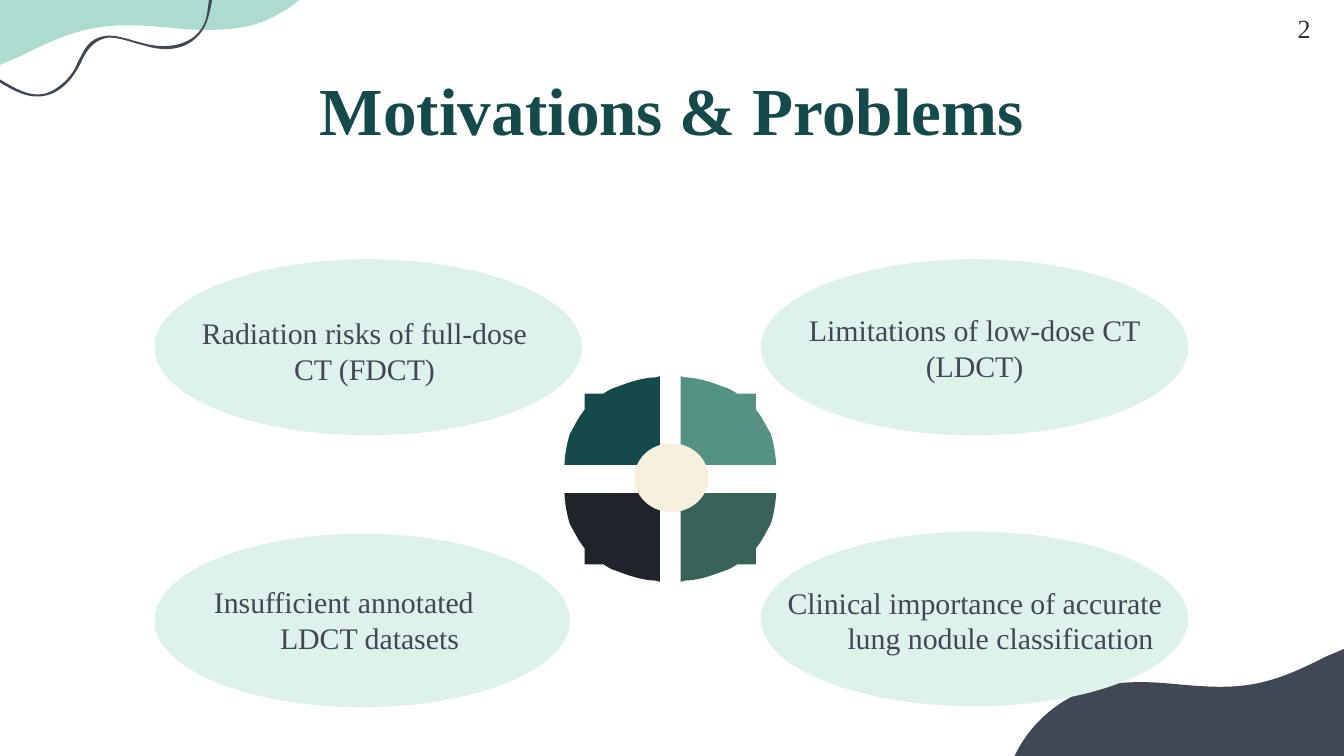
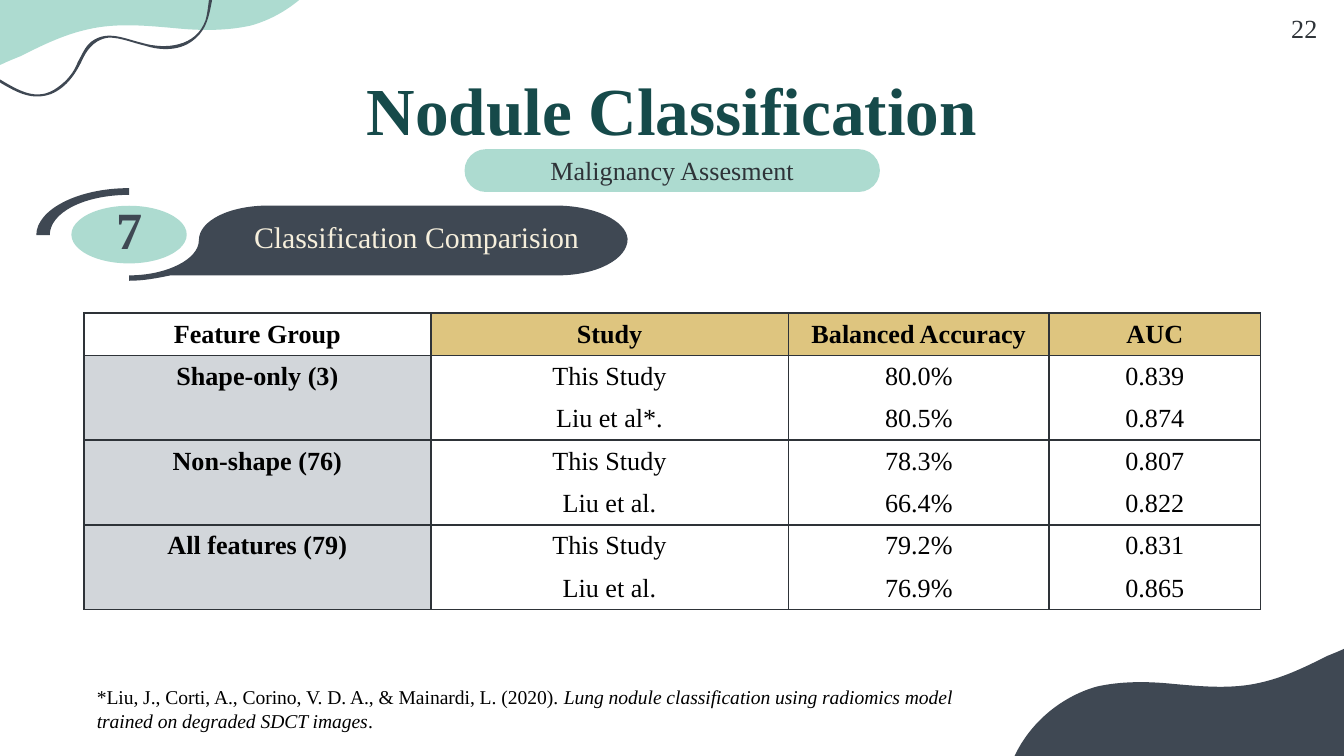
"""Build two slides on lung nodule CT: the motivations and the classification results."""
from dataclasses import dataclass

from lxml.etree import SubElement
from pptx import Presentation
from pptx.dml.color import RGBColor as RGB
from pptx.enum.shapes import MSO_SHAPE as SHAPE
from pptx.enum.text import MSO_ANCHOR as ANCHOR, PP_ALIGN as ALIGN
from pptx.oxml.ns import qn
from pptx.util import Cm, Pt


@dataclass(frozen=True)
class Theme:
    font: str = "Times New Roman"
    teal: str = "164A4A"
    mint: str = "ADDBD0"
    pale: str = "DEF1EC"
    slate: str = "3F4853"
    ink: str = "2E3338"
    cream: str = "F6EFDC"
    sage: str = "569283"
    night: str = "1F242A"
    pine: str = "396258"
    gold: str = "DEC57F"
    grey: str = "D2D6DA"
    black: str = "000000"
    title: float = 36
    badge: float = 28
    body: float = 16
    small: float = 14
    note: float = 10.5


T = Theme()
UNIT = Cm(2.54) / 100

TITLE_BOX = (1.98, 1.3, 21.44, 1.27)
NUMBER_BOX = (23.9, 0.23, 1.5, 0.86)

MOTIVATIONS = [
    ("Radiation risks of full-dose CT (FDCT)",
     (2.92, 4.9, 8.08, 3.33), (3.51, 5.23, 6.76, 2.79), False),
    ("Limitations of low-dose CT (LDCT)",
     (14.38, 4.9, 8.08, 3.33), (14.76, 5.18, 7.32, 2.77), False),
    ("Insufficient annotated LDCT datasets",
     (2.92, 10.09, 7.85, 3.28), (2.97, 10.39, 6.76, 2.64), True),
    ("Clinical importance of accurate lung nodule classification",
     (14.38, 10.05, 8.08, 3.3), (14.45, 10.41, 7.65, 2.62), True),
]
HUB_BOX = (11.99, 8.38, 1.4, 1.3)
QUADRANTS = [(T.teal, False, False), (T.sage, True, False),
             (T.night, False, True), (T.pine, True, True)]

HEADER = ["Feature Group", "Study", "Balanced Accuracy", "AUC"]
RESULTS = [
    ["Shape-only (3)", "This Study", "80.0%", "0.839"],
    ["", "Liu et al*.", "80.5%", "0.874"],
    ["Non-shape (76)", "This Study", "78.3%", "0.807"],
    ["", "Liu et al.", "66.4%", "0.822"],
    ["All features (79)", "This Study", "79.2%", "0.831"],
    ["", "Liu et al.", "76.9%", "0.865"],
]
COLUMNS = [6.55, 6.76, 4.93, 3.99]
ROW_HEIGHT = 0.8
TABLE_AT = (1.59, 5.92)
CITATION = [
    ("*Liu, J., Corti, A., Corino, V. D. A., & Mainardi, L. (2020). ", False),
    ("Lung nodule classification using radiomics model trained on degraded SDCT images", True),
    (".", False),
]

WAVE = [
    (-139, -37), (-140, -21, -138, -6, -132, 8), (-123, 29, -103, 45, -82, 52),
    (-79, 53, -77, 54, -74, 54), (-49, 60, -23, 57, 1, 48), (5, 46, 10, 44, 15, 42),
    (31, 34, 47, 26, 65, 22), (86, 17, 108, 19, 130, 21), (150, 23, 169, 23, 187, 19),
    (215, 11, 239, -10, 250, -37),
]
SQUIGGLE = [
    (192, -53), (180, -47, 171, -37, 165, -26), (161, -20, 159, -14, 157, -8),
    (155, 0, 155, 8, 153, 15), (146, 35, 123, 37, 106, 32), (93, 29, 80, 22, 68, 31),
    (63, 35, 61, 41, 58, 46), (55, 54, 50, 60, 43, 65), (27, 77, 12, 66, -2, 58),
    (-27, 43, -58, 49, -75, 71), (-78, 76, -81, 81, -83, 86), (-83, 87, -81, 88, -81, 87),
    (-76, 71, -63, 59, -48, 54), (-31, 47, -13, 52, 1, 62), (13, 69, 24, 75, 38, 70),
    (50, 65, 57, 54, 62, 43), (66, 35, 72, 29, 81, 28), (90, 28, 99, 32, 108, 34),
    (120, 38, 135, 38, 145, 29), (157, 19, 156, 4, 160, -9), (164, -24, 173, -38, 186, -47),
    (188, -49, 191, -50, 193, -52), (194, -52, 193, -54, 192, -53),
]
QUADRANT = [
    (491, 280), (489, 281, 487, 281, 485, 281), (475, 282, 467, 285, 459, 288),
    (455, 289, 452, 291, 449, 293), (435, 293), (435, 305), (430, 311, 427, 318, 424, 323),
    (420, 336, 420, 346, 420, 346), (491, 346), (491, 311),
]
BADGE_ARC = [
    (96, 140), (58, 140, 27, 156, 27, 175), (37, 175), (37, 158, 63, 145, 96, 145),
]
BADGE_BANNER = [
    (200, 153), (171, 153, 148, 164, 148, 179), (148, 193, 124, 205, 96, 205), (96, 209),
    (107, 209, 117, 207, 127, 205), (415, 205), (444, 205, 467, 193, 467, 178),
    (466, 164, 442, 153, 413, 153),
]


def mirror(outline, x_sum=None, y_sum=None):
    """Reflect an outline so that each old and new coordinate add up to the given sum."""
    sums = (x_sum, y_sum)
    return [tuple(v if sums[i % 2] is None else sums[i % 2] - v for i, v in enumerate(seg))
            for seg in outline]


def paint(sp, color):
    """Give a shape a plain fill without line or shadow."""
    sp.shadow.inherit = False
    sp.fill.solid()
    sp.fill.fore_color.rgb = RGB.from_string(color)
    sp.line.fill.background()
    return sp


def draw(shapes, outline, color):
    """Add a filled freeform whose six-number segments are cubic curves."""
    start, *points = [(round(x * UNIT), round(y * UNIT))
                      for seg in outline for x, y in zip(seg[::2], seg[1::2])]
    builder = shapes.build_freeform(*start, scale=1.0)
    builder.add_line_segments(points, close=True)
    sp = builder.convert_to_shape()
    lines = iter(list(sp.element.iter(qn("a:lnTo"))))
    for seg in outline[1:]:
        curve = next(lines)
        if len(seg) == 6:
            curve.tag = qn("a:cubicBezTo")
            for line in (next(lines), next(lines)):
                curve.append(line[0])
                line.getparent().remove(line)
    return paint(sp, color)


def add_preset(shapes, kind, box, color):
    """Add a filled preset shape."""
    return paint(shapes.add_shape(kind, *map(Cm, box)), color)


def write(tf, runs, size, color, bold=None, align=ALIGN.CENTER):
    """Write one paragraph of (text, italic) runs."""
    p = tf.paragraphs[0]
    p.alignment, p.line_spacing = align, 1.0
    for text, italic in [(runs, None)] if isinstance(runs, str) else runs:
        r = p.add_run()
        r.text = text
        fmt = {"name": T.font, "size": Pt(size), "bold": bold, "italic": italic}
        for key, value in fmt.items():
            setattr(r.font, key, value)
        r.font.color.rgb = RGB.from_string(color)


def set_frame(tf, anchor=ANCHOR.TOP, margin=0):
    """Set wrapping, anchor and equal insets of a text frame."""
    fmt = {"word_wrap": True, "vertical_anchor": anchor}
    fmt.update({f"margin_{side}": Cm(margin) for side in ("left", "top", "right", "bottom")})
    for key, value in fmt.items():
        setattr(tf, key, value)


def add_text(shapes, box, text, size, color, bold=None, anchor=ANCHOR.TOP):
    """Add a text box without insets."""
    sp = shapes.add_textbox(*map(Cm, box))
    set_frame(sp.text_frame, anchor)
    write(sp.text_frame, text, size, color, bold)
    return sp


def add_slide(prs, title, number):
    """Add a slide with its title and number."""
    s = prs.slides.add_slide(prs.slide_layouts[5])
    sp = s.shapes.title
    sp.left, sp.top, sp.width, sp.height = map(Cm, TITLE_BOX)
    set_frame(sp.text_frame)
    write(sp.text_frame, title, T.title, T.teal, True)
    add_text(s.shapes, NUMBER_BOX, number, T.small, T.ink)
    return s


def decorate_layout(prs, s):
    """Draw the shared waves and move them to the layout."""
    tree = prs.slide_layouts[5].shapes.element
    for outline, color in [(WAVE, T.mint), (mirror(WAVE, 1003, 530), T.slate),
                           (SQUIGGLE, T.slate)]:
        tree.append(draw(s.shapes, outline, color).element)


def fill_motivations(s):
    """Draw the four motivations around the wheel."""
    for text, oval, box, hanging in MOTIVATIONS:
        add_preset(s.shapes, SHAPE.OVAL, oval, T.pale)
        sp = add_text(s.shapes, box, text, T.body, T.slate, anchor=ANCHOR.MIDDLE)
        if hanging:
            for ppr in sp.element.iter(qn("a:pPr")):
                ppr.set("marL", str(Cm(1.27)))
                ppr.set("indent", str(-Cm(0.97)))
    for color, right, low in QUADRANTS:
        draw(s.shapes, mirror(QUADRANT, 997.5 if right else None, 713 if low else None), color)
    add_preset(s.shapes, SHAPE.OVAL, HUB_BOX, T.cream)


def add_badge(s):
    """Draw the numbered section badge."""
    shapes = s.shapes.add_group_shape().shapes
    draw(shapes, BADGE_ARC, T.slate)
    add_preset(shapes, SHAPE.OVAL, (1.35, 3.89, 2.18, 1.09), T.mint)
    draw(shapes, BADGE_BANNER, T.slate)
    add_text(shapes, (1.35, 3.73, 2.18, 1.19), "7", T.badge, T.slate, True)
    add_text(shapes, (3.48, 4.14, 8.79, 0.86), "Classification Comparision", T.body, T.cream)


def add_results(s):
    """Add the table of results."""
    rows = [HEADER] + RESULTS
    size = (sum(COLUMNS), ROW_HEIGHT * len(rows))
    frame = s.shapes.add_table(len(rows), len(COLUMNS), *map(Cm, TABLE_AT + size))
    table = frame.table
    table.first_row = table.horz_banding = False
    for style in frame.element.iter(qn("a:tableStyleId")):
        style.text = "{2D5ABB26-0587-4C30-8999-92F81FD0307C}"
    for col, width in zip(table.columns, COLUMNS):
        col.width = Cm(width)
    for row in table.rows:
        row.height = Cm(ROW_HEIGHT)
    for n, (cell, tc) in enumerate(zip(table.iter_cells(), frame.element.iter(qn("a:tc")))):
        i, j = divmod(n, len(COLUMNS))
        cell.vertical_anchor = ANCHOR.MIDDLE
        cell.margin_top = cell.margin_bottom = Cm(0.1)
        if (i == 0) == (j == 0):
            cell.fill.background()
        else:
            cell.fill.solid()
            cell.fill.fore_color.rgb = RGB.from_string(T.grey if j == 0 else T.gold)
        if rows[i][j]:
            write(cell.text_frame, rows[i][j], T.small, T.black, i == 0 or j == 0)
        for p in tc.iter(qn("a:p")):
            SubElement(p, qn("a:endParaRPr"), sz=str(T.small * 100))
        sides = ["lnL", "lnR"] + ["lnT"] * (i == 0) + ["lnB"] * (i % 2 == 0)
        for k, side in enumerate(sides):
            ln = SubElement(tc.get_or_add_tcPr(), qn(f"a:{side}"), w=str(Pt(1)))
            SubElement(SubElement(ln, qn("a:solidFill")), qn("a:srgbClr"), val=T.ink)
            tc.get_or_add_tcPr().insert(k, ln)


def fill_classification(s):
    """Add the subtitle, badge, results and citation."""
    add_badge(s)
    pill = add_preset(s.shapes, SHAPE.ROUNDED_RECTANGLE, (8.78, 2.82, 7.85, 0.81), T.mint)
    pill.adjustments[0] = 0.5
    set_frame(pill.text_frame, ANCHOR.MIDDLE, 0.25)
    write(pill.text_frame, "Malignancy Assesment", T.small, T.ink)
    add_results(s)
    note = s.shapes.add_textbox(*map(Cm, (1.58, 12.83, 17.81, 1.19)))
    note.text_frame.word_wrap = True
    write(note.text_frame, CITATION, T.note, T.black, align=ALIGN.LEFT)


def main():
    """Build and save the deck."""
    prs = Presentation()
    prs.slide_width, prs.slide_height = Cm(25.4), Cm(14.29)
    s = add_slide(prs, "Motivations & Problems", "2")
    decorate_layout(prs, s)
    fill_motivations(s)
    fill_classification(add_slide(prs, "Nodule Classification", "22"))
    prs.save("out.pptx")


if __name__ == "__main__":
    main()
